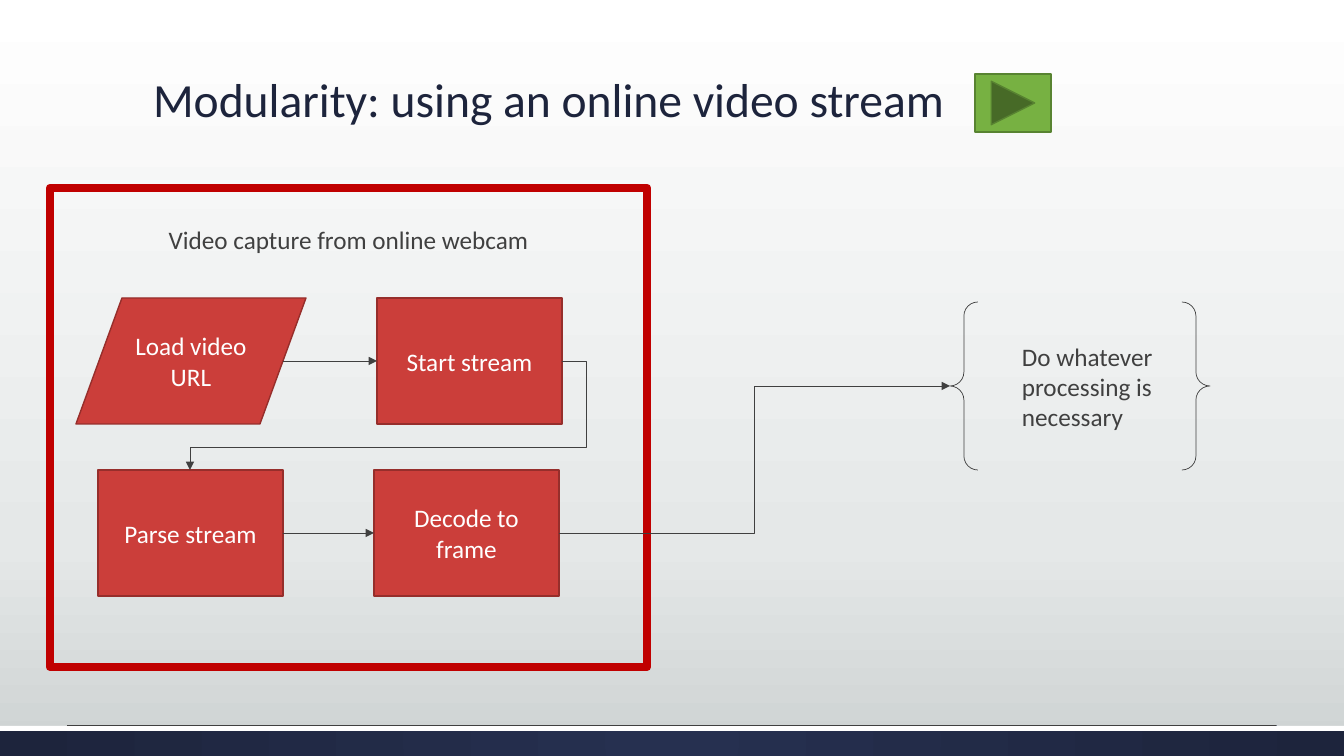
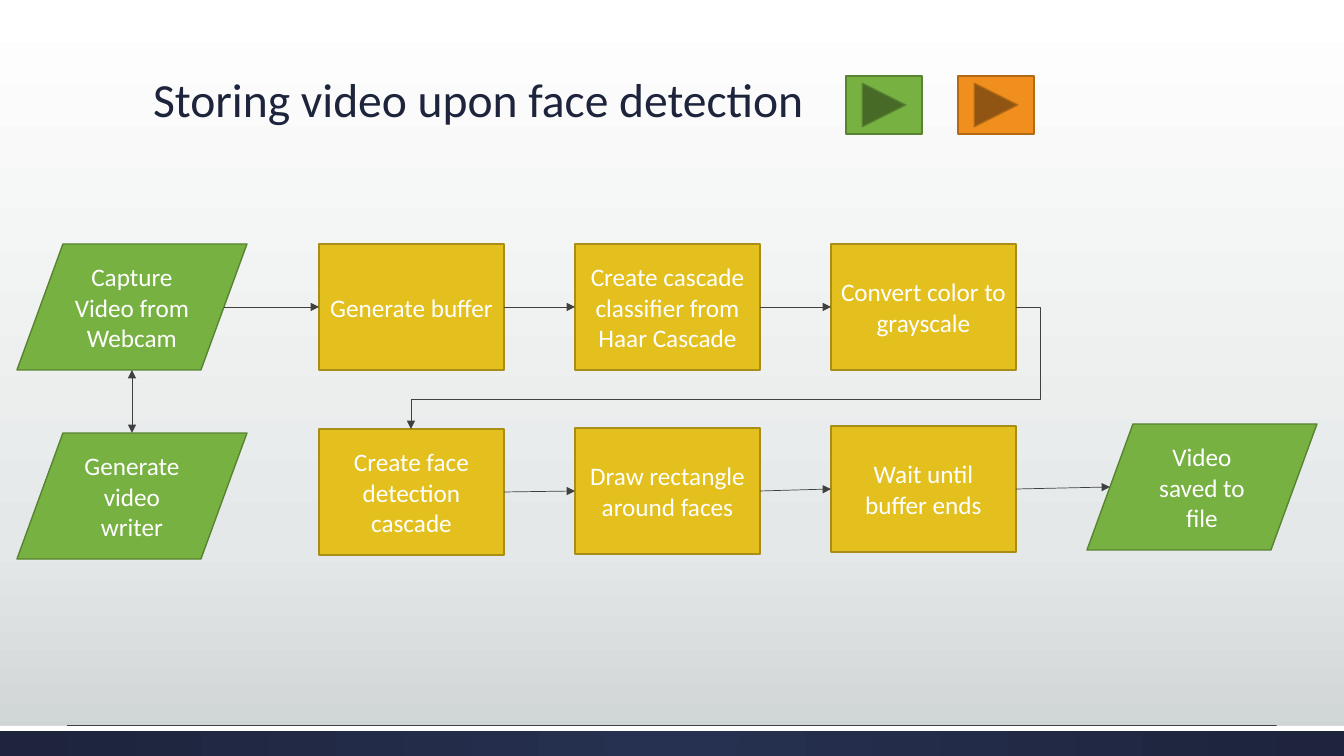
from dataclasses import dataclass
from typing import Any

from lxml.etree import SubElement
from pptx import Presentation
from pptx.dml.color import RGBColor
from pptx.enum.shapes import MSO_CONNECTOR as Route, MSO_SHAPE as Preset
from pptx.enum.text import MSO_ANCHOR as Anchor, MSO_AUTO_SIZE as AutoSize, PP_ALIGN as Align
from pptx.oxml.ns import qn
from pptx.util import Emu, Pt

PX = 914400 / 100.8
WIDTH, HEIGHT = 1344, 756
FONT = "Calibri"
NAVY, NAVY_LIGHT, WHITE, INK = "1D243C", "263050", "FFFFFF", "404040"
BACKGROUND = [(0, WHITE), (72, "E5E8E8"), (100, "CDD2D2")]
BOX_W, SLANTED_W, BOX_H = 185, 230, 126
DETOUR = 25


@dataclass(frozen=True)
class Paint:
    fill: str
    line: str


RED = Paint("CB3E3A", "962E2B")
GREEN = Paint("77B142", "588331")
YELLOW = Paint("E3C01E", "A88E16")
ORANGE = Paint("F08F1E", "B26A16")


@dataclass(frozen=True)
class Step:
    text: str
    left: int
    top: int
    paint: Paint
    slanted: bool = False

    @property
    def width(self) -> int:
        return SLANTED_W if self.slanted else BOX_W

    @property
    def inset(self) -> int:
        return self.width // 10 if self.slanted else 0

    @property
    def center(self) -> int:
        return self.left + self.width // 2

    @property
    def bottom(self) -> int:
        return self.top + BOX_H

    @property
    def entry(self) -> tuple[int, int]:
        return self.left + self.inset, self.top + BOX_H // 2

    @property
    def outlet(self) -> tuple[int, int]:
        return self.left + self.width - self.inset, self.top + BOX_H // 2


def px(length: float) -> Emu:
    return Emu(round(length * PX))


def rgb(value: str) -> RGBColor:
    return RGBColor.from_string(value)


def paint_gradient(fill: Any, owner: Any, stops: list[tuple[int, str]], radial: bool = False) -> None:
    fill.gradient()
    gradient = next(owner.iter(qn("a:gradFill")))
    gradient.clear()
    stop_list = SubElement(gradient, qn("a:gsLst"))
    for position, color in stops:
        stop = SubElement(stop_list, qn("a:gs"), pos=str(position * 1000))
        SubElement(stop, qn("a:srgbClr"), val=color)
    if radial:
        circle = SubElement(gradient, qn("a:path"), path="circle")
        SubElement(circle, qn("a:fillToRect"), l="50000", t="50000", r="50000", b="50000")
    else:
        SubElement(gradient, qn("a:lin"), ang="5400000", scaled="0")


def add_preset(slide: Any, preset: Any, left: int, top: int, width: int, height: int,
               fill: str | None = None, line: str | None = None, weight: float = 1) -> Any:
    shape = slide.shapes.add_shape(preset, px(left), px(top), px(width), px(height))
    shape.shadow.inherit = False
    if fill:
        shape.fill.solid()
        shape.fill.fore_color.rgb = rgb(fill)
    else:
        shape.fill.background()
    if line:
        shape.line.color.rgb = rgb(line)
        shape.line.width = Pt(weight)
    else:
        shape.line.fill.background()
    return shape


def write(shape: Any, text: str, color: str, size: int = 18, align: Any = Align.CENTER,
          anchor: Any = Anchor.MIDDLE) -> None:
    frame = shape.text_frame
    frame.word_wrap = True
    frame.vertical_anchor = anchor
    frame.text = text
    for paragraph in frame.paragraphs:
        paragraph.alignment = align
        paragraph.font.name = FONT
        paragraph.font.size = Pt(size)
        paragraph.font.color.rgb = rgb(color)


def add_line(slide: Any, start: tuple[int, int], end: tuple[int, int],
             route: Any = Route.STRAIGHT, heads: tuple[str, ...] = ("tailEnd",)) -> Any:
    line = slide.shapes.add_connector(route, *map(px, start + end))
    line.line.color.rgb = rgb(INK)
    line.line.width = Pt(0.5)
    properties = line.element.spPr
    for head in heads:
        SubElement(properties.find(qn("a:ln")), qn(f"a:{head}"), type="triangle")
    SubElement(properties, qn("a:effectLst"))
    return line


def add_chain(slide: Any, steps: list[Step]) -> None:
    for step in steps:
        preset = Preset.FLOWCHART_DATA if step.slanted else Preset.FLOWCHART_PROCESS
        box = add_preset(slide, preset, step.left, step.top, step.width, BOX_H,
                         step.paint.fill, step.paint.line)
        write(box, step.text, WHITE)
    for source, target in zip(steps, steps[1:]):
        add_line(slide, source.outlet, target.entry)


def add_row_return(slide: Any, source: Step, target: Step) -> None:
    start, end = source.outlet, (target.center, target.top)
    line = add_line(slide, start, end, Route.ELBOW)
    geometry = line.element.spPr.find(qn("a:prstGeom"))
    geometry.set("prst", "bentConnector4")
    guides = geometry.find(qn("a:avLst"))
    if guides is None:
        guides = SubElement(geometry, qn("a:avLst"))
    lane = (source.bottom + target.top) / 2
    ratios = -DETOUR / (start[0] - end[0]), (lane - start[1]) / (end[1] - start[1])
    for number, ratio in enumerate(ratios, 1):
        SubElement(guides, qn("a:gd"), name=f"adj{number}", fmla=f"val {round(ratio * 100000)}")


def add_play_button(slide: Any, left: int, top: int, paint: Paint) -> None:
    add_preset(slide, Preset.ACTION_BUTTON_FORWARD_OR_NEXT, left, top, 76, 58, paint.fill, paint.line)


def dress_master(master: Any, slide: Any) -> None:
    paint_gradient(master.background.fill, master.element, BACKGROUND)
    band = add_preset(slide, Preset.RECTANGLE, 0, 726, WIDTH, 30)
    paint_gradient(band.fill, band.element, [(0, NAVY_LIGHT), (100, NAVY)], radial=True)
    stripe = add_preset(slide, Preset.RECTANGLE, 0, 726, WIDTH, 5, WHITE)
    rule = add_line(slide, (67, 725), (1276, 725), heads=())
    tree = master.element.cSld.spTree
    for number, part in enumerate((band, stripe, rule)):
        part.element.xpath("./*/p:cNvPr")[0].set("id", str(100 + number))
        tree.insert(2 + number, part.element)


def set_title(slide: Any, text: str) -> None:
    title = slide.shapes.title
    title.left, title.top, title.width, title.height = map(px, (143, -3, 1048, 136))
    write(title, text, NAVY, 34, Align.LEFT, Anchor.BOTTOM)
    title.text_frame.auto_size = AutoSize.NONE
    title.text_frame.paragraphs[0].line_spacing = 0.9


def build_modularity(slide: Any) -> None:
    set_title(slide, "Modularity: using an online video stream")
    capture = add_preset(slide, Preset.FLOWCHART_PROCESS, 50, 188, 597, 479, line="C00000", weight=6)
    write(capture, "Video capture from online webcam", INK, anchor=Anchor.TOP)
    capture.text_frame.margin_top = px(36)

    load = Step("Load video URL", 76, 298, RED, slanted=True)
    start = Step("Start stream", 377, 298, RED)
    parse_step = Step("Parse stream", 98, 470, RED)
    decode = Step("Decode to frame", 374, 470, RED)
    add_chain(slide, [load, start])
    add_chain(slide, [parse_step, decode])
    add_row_return(slide, start, parse_step)

    processing = slide.shapes.add_textbox(px(1012), px(336), px(211), px(102))
    write(processing, "Do whatever processing is necessary", INK, align=Align.LEFT, anchor=Anchor.TOP)
    add_preset(slide, Preset.DOUBLE_BRACE, 950, 302, 260, 168, line=INK, weight=0.5)
    add_line(slide, decode.outlet, (950, 386), Route.ELBOW)
    add_play_button(slide, 975, 74, GREEN)


def build_storing(slide: Any) -> None:
    set_title(slide, "Storing video upon face detection")
    columns = [319 + 256 * index for index in range(4)]
    webcam = Step("Capture\nVideo from\nWebcam", 17, 244, GREEN, slanted=True)
    writer = Step("Generate video writer", 17, 433, GREEN, slanted=True)
    preparing = ["Generate buffer", "Create cascade classifier from Haar Cascade",
                 "Convert color to grayscale"]
    detecting = [("Create face detection cascade", 429), ("Draw rectangle around faces", 428),
                 ("Wait until buffer ends", 426)]
    upper = [webcam] + [Step(text, left, 244, YELLOW) for text, left in zip(preparing, columns)]
    lower = [Step(text, left, top, YELLOW) for (text, top), left in zip(detecting, columns)]
    lower.append(Step("Video saved to file", columns[3], 424, GREEN, slanted=True))
    for chain in (upper, lower, [writer]):
        add_chain(slide, chain)
    add_row_return(slide, upper[-1], lower[0])
    add_line(slide, (webcam.center, webcam.bottom), (writer.center, writer.top),
             heads=("headEnd", "tailEnd"))
    add_play_button(slide, 846, 76, GREEN)
    add_play_button(slide, 958, 76, ORANGE)


def main() -> None:
    deck = Presentation()
    deck.slide_width, deck.slide_height = px(WIDTH), px(HEIGHT)
    title_only = deck.slide_layouts[5]
    modularity, storing = (deck.slides.add_slide(title_only) for _ in range(2))
    dress_master(deck.slide_master, modularity)
    build_modularity(modularity)
    build_storing(storing)
    deck.save("out.pptx")


if __name__ == "__main__":
    main()
